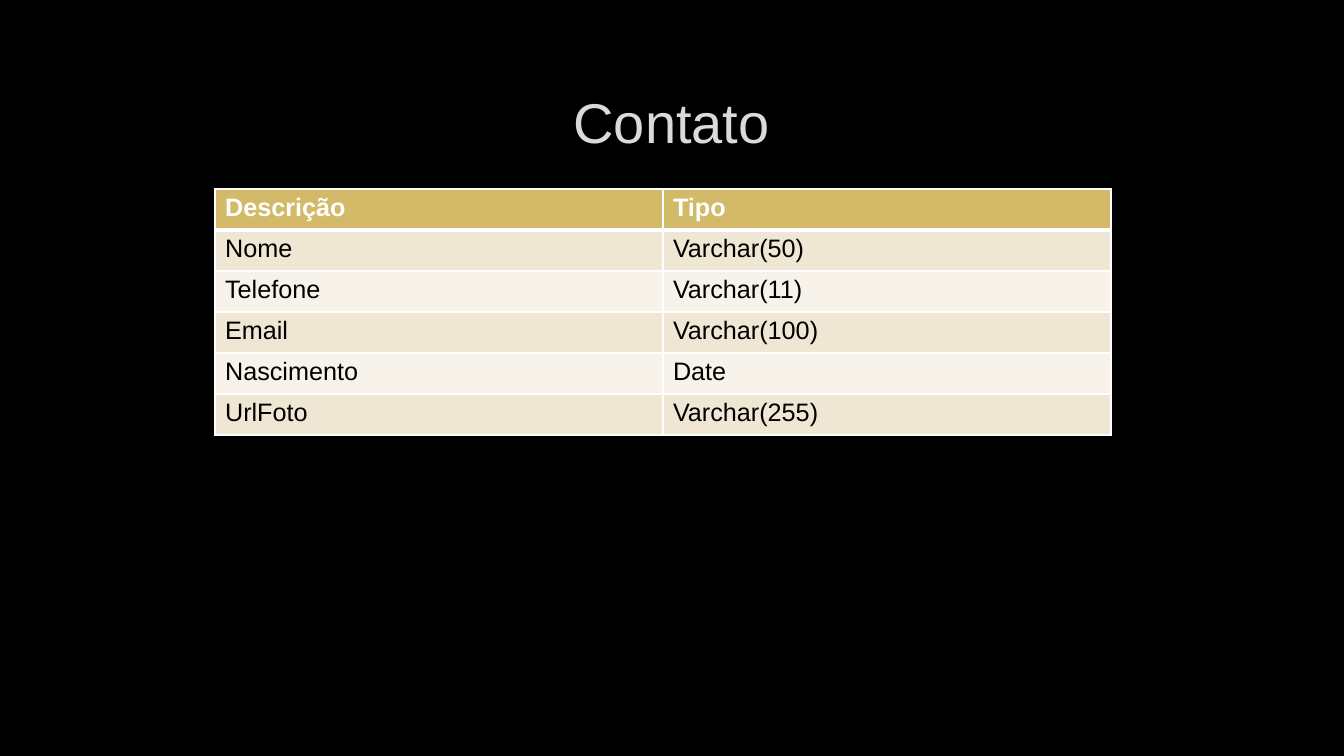
from lxml.etree import SubElement
from pptx import Presentation
from pptx.dml.color import RGBColor
from pptx.enum.text import MSO_ANCHOR, PP_ALIGN
from pptx.oxml.ns import qn
from pptx.util import Emu, Pt

SCALE = 12192000 / 1344
COLORS = {
    "background": "000000",
    "title": "DADADA",
    "header": "D3BA68",
    "band_dark": "EFE7D4",
    "band_light": "F7F3EB",
    "white": "FFFFFF",
    "black": "000000",
}
FIELDS = [
    ("Descrição", "Tipo"),
    ("Nome", "Varchar(50)"),
    ("Telefone", "Varchar(11)"),
    ("Email", "Varchar(100)"),
    ("Nascimento", "Date"),
    ("UrlFoto", "Varchar(255)"),
]
COL_WIDTH, ROW_HEIGHT = 448, 41


def px(n):
    return Emu(round(n * SCALE))


def style_run(r, size, color, bold=False):
    r.font.name = "Arial"
    r.font.size = Pt(size)
    r.font.bold = bold
    r.font.color.rgb = RGBColor.from_string(COLORS[color])


prs = Presentation()
prs.slide_width, prs.slide_height = px(1344), px(756)
s = prs.slides.add_slide(prs.slide_layouts[6])
s.background.fill.solid()
s.background.fill.fore_color.rgb = RGBColor.from_string(COLORS["background"])

title = s.shapes.add_textbox(px(101), px(68), px(1141), px(107))
tf = title.text_frame
tf.word_wrap = True
tf.vertical_anchor = MSO_ANCHOR.MIDDLE
tf.text = "Contato"
p = tf.paragraphs[0]
p.alignment = PP_ALIGN.CENTER
style_run(p.runs[0], 40, "title")

table = s.shapes.add_table(len(FIELDS), 2, px(215), px(189),
                           px(2 * COL_WIDTH), px(len(FIELDS) * ROW_HEIGHT)).table
for col in table.columns:
    col.width = px(COL_WIDTH)

for i, field in enumerate(FIELDS):
    table.rows[i].height = px(ROW_HEIGHT)
    header = i == 0
    fill = "header" if header else "band_dark" if i % 2 else "band_light"
    # The line between the header and the first row is thicker
    borders = {"lnL": 1, "lnR": 1, "lnT": 3 if i == 1 else 1, "lnB": 3 if header else 1}
    for j, text in enumerate(field):
        cell = table.cell(i, j)
        cell.text_frame.text = text
        style_run(cell.text_frame.paragraphs[0].runs[0], 18,
                  "white" if header else "black", header)
        tcPr = cell._tc.get_or_add_tcPr()
        for side, width in borders.items():
            ln = SubElement(tcPr, qn(f"a:{side}"), w=str(Pt(width)))
            solid = SubElement(ln, qn("a:solidFill"))
            SubElement(solid, qn("a:srgbClr"), val=COLORS["white"])
        cell.fill.solid()
        cell.fill.fore_color.rgb = RGBColor.from_string(COLORS[fill])

prs.save("out.pptx")
